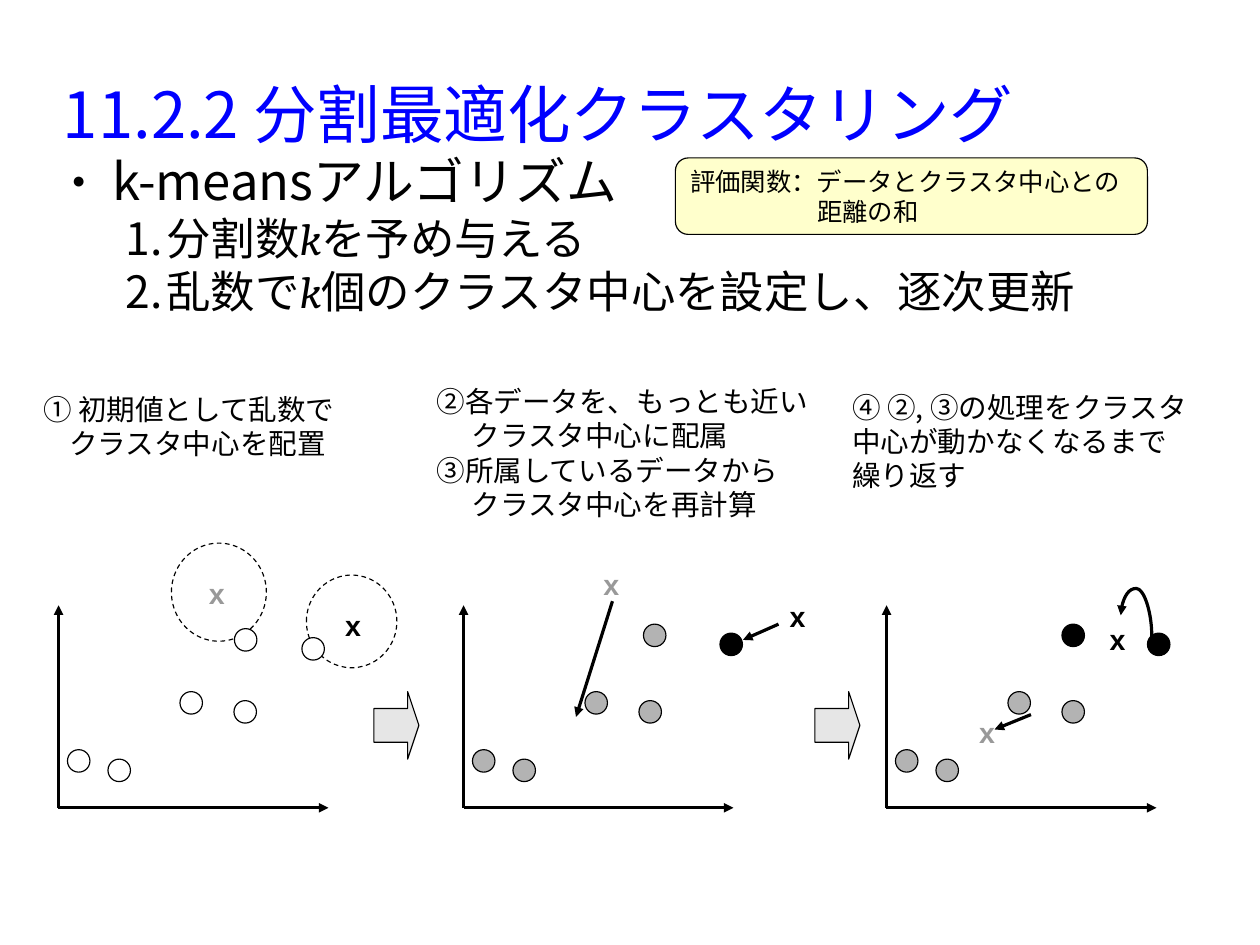
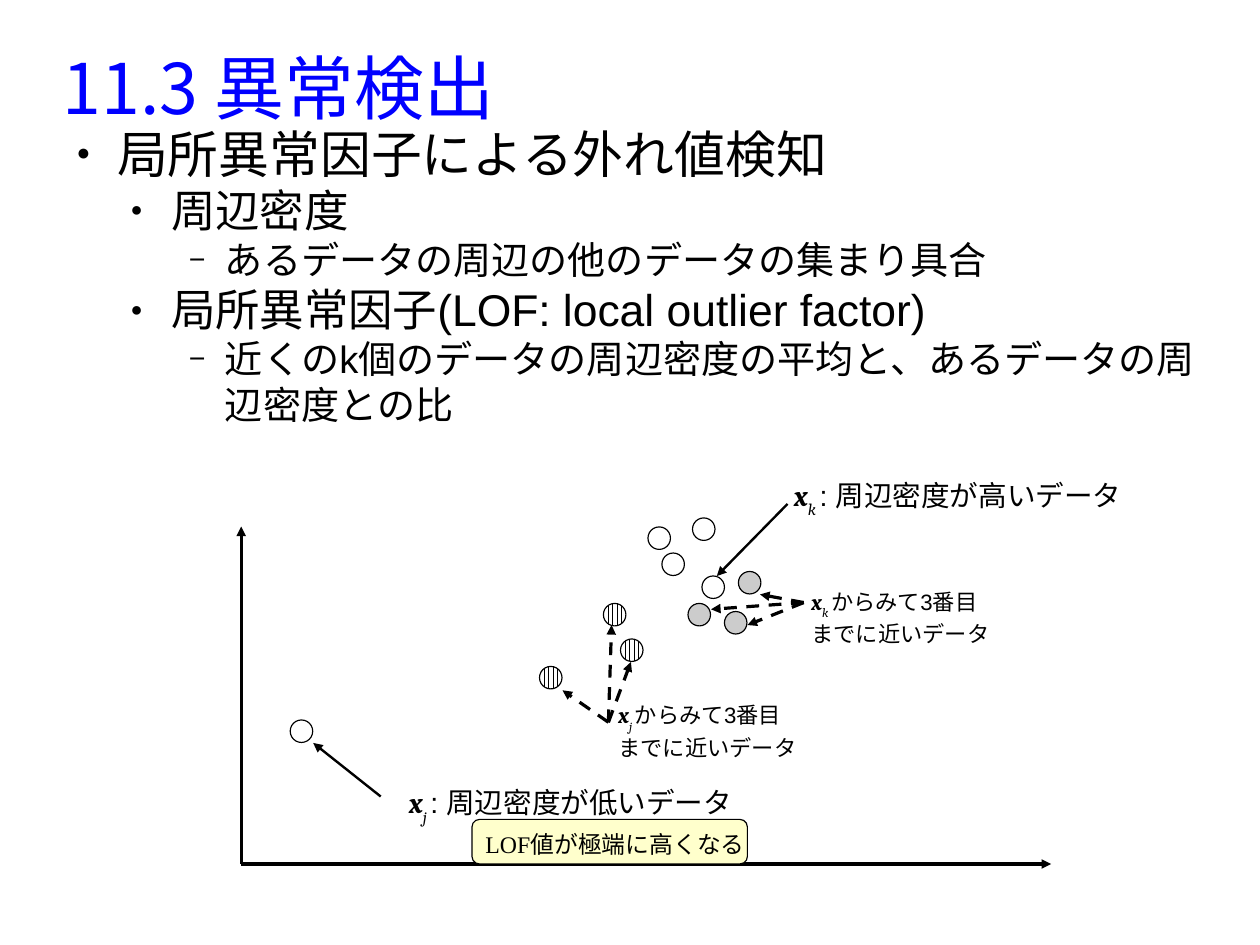
from lxml import etree
from pptx import Presentation
from pptx.dml.color import RGBColor
from pptx.enum import dml, shapes, text
from pptx.oxml import ns
from pptx.util import Cm, Pt

BLUE = RGBColor(0x00, 0x00, 0xFF)
BLACK = RGBColor(0x00, 0x00, 0x00)
WHITE = RGBColor(0xFF, 0xFF, 0xFF)
CREAM = RGBColor(0xFF, 0xFF, 0xCC)
PALE = RGBColor(0xE6, 0xE6, 0xE6)
LIGHT = RGBColor(0xCC, 0xCC, 0xCC)
GRAY = RGBColor(0xB3, 0xB3, 0xB3)
DIM = RGBColor(0x99, 0x99, 0x99)
STRIPES = None

GOTHIC = "Noto Sans CJK JP"
SANS = "Arial"
MATH = "Cambria"
SERIF = "Times New Roman"
DOT_SIZE = Cm(0.5)


def add_span(para, words, size, font=SANS, color=BLACK, bold=False, italic=False, baseline=0):
    span = para.add_run()
    span.text = words
    span.font.size = Pt(size)
    span.font.name = font
    span.font.color.rgb = color
    span.font.bold = bold
    span.font.italic = italic
    if baseline:
        span._r.get_or_add_rPr().set("baseline", str(baseline))


def add_arrow(page, start, end, width=0, dashed=False, kind=shapes.MSO_CONNECTOR.STRAIGHT):
    ends = [Cm(value) for value in (*start, *end)]
    arrow = page.shapes.add_connector(kind, *ends)
    arrow.line.color.rgb = BLACK
    arrow.line.width = Pt(width)
    if dashed:
        arrow.line.dash_style = dml.MSO_LINE.DASH
    etree.SubElement(arrow.line._get_or_add_ln(), ns.qn("a:tailEnd"), type="triangle")
    etree.SubElement(arrow._element.spPr, ns.qn("a:effectLst"))
    return arrow


deck = Presentation()
deck.slide_width = Cm(28)
deck.slide_height = Cm(21)
means_page, outlier_page = [deck.slides.add_slide(deck.slide_layouts[1]) for _ in range(2)]

titles = [
    (means_page, "11.2.2 分割最適化クラスタリング", 40, (1.4, 0.48, 25.2, 4.24), Pt(42.5)),
    (outlier_page, "11.3 異常検出", 44, (1.4, 0.76, 25.2, 2.34), None),
]
bodies = [
    (means_page, (1.3, 3.33, 24.4, 12.19), [
        (0, "●", [("k-meansアルゴリズム", GOTHIC)]),
        (1, "1.", [("分割数", GOTHIC), ("k", MATH), ("を予め与える", GOTHIC)]),
        (1, "1.", [("乱数で", GOTHIC), ("k", MATH),
                   ("個のクラスタ中心を設定し、逐次更新", GOTHIC)]),
    ]),
    (outlier_page, (1.4, 2.72, 25.2, 12.19), [
        (0, "●", [("局所異常因子による外れ値検知", GOTHIC)]),
        (1, "●", [("周辺密度", SANS)]),
        (2, "−", [("あるデータの周辺の他のデータの集まり具合", SANS)]),
        (1, "●", [("局所異常因子(LOF: local outlier factor)", SANS)]),
        (2, "−", [("近くのk個のデータの周辺密度の平均と、あるデータの周辺密度との比", SANS)]),
    ]),
]
levels = [(32, 1.2, -0.9), (28, 2.4, -0.9), (24, 3.6, -0.8)]
bullet_sizes = {"●": "45000", "−": "75000"}

for page, words, size, place, spacing in titles:
    box = page.shapes.title
    box.left, box.top, box.width, box.height = [Cm(value) for value in place]
    frame = box.text_frame
    frame.auto_size = text.MSO_AUTO_SIZE.NONE
    frame.vertical_anchor = text.MSO_ANCHOR.MIDDLE
    frame.margin_left = frame.margin_top = frame.margin_right = frame.margin_bottom = 0
    para = frame.paragraphs[0]
    para.alignment = text.PP_ALIGN.LEFT
    para.line_spacing = spacing
    add_span(para, words, size, GOTHIC, BLUE)

for page, place, items in bodies:
    box = page.placeholders[1]
    box.left, box.top, box.width, box.height = [Cm(value) for value in place]
    frame = box.text_frame
    frame.auto_size = text.MSO_AUTO_SIZE.NONE
    frame.margin_left = frame.margin_top = frame.margin_right = frame.margin_bottom = 0
    for number, (level, bullet, spans) in enumerate(items):
        para = frame.add_paragraph() if number else frame.paragraphs[0]
        size, margin, indent = levels[level]
        para.level = level
        para.space_before = Pt(0)
        props = para._p.get_or_add_pPr()
        props.set("marL", str(Cm(margin)))
        props.set("indent", str(Cm(indent)))
        tint = etree.SubElement(props, ns.qn("a:buClr"))
        etree.SubElement(tint, ns.qn("a:srgbClr"), val=str(BLACK))
        if bullet in bullet_sizes:
            etree.SubElement(props, ns.qn("a:buSzPct"), val=bullet_sizes[bullet])
            etree.SubElement(props, ns.qn("a:buChar"), char=bullet)
        else:
            etree.SubElement(props, ns.qn("a:buAutoNum"), type="arabicPeriod")
        for words, font in spans:
            add_span(para, words, size, font, italic=font == MATH)

axes = [(means_page, left, 17.95, 6, 4.5) for left in (1.3, 10.3, 19.7)]
axes.append((outlier_page, 5.36, 19.2, 18, 7.5))
for page, left, bottom, width, height in axes:
    add_arrow(page, (left, bottom), (left + width, bottom))
    add_arrow(page, (left, bottom), (left, bottom - height))

figures = [
    (means_page, shapes.MSO_SHAPE.OVAL, (3.81, 12.07, 2.11, 2.18)),
    (means_page, shapes.MSO_SHAPE.OVAL, (6.81, 12.78, 2.01, 2.06)),
    (means_page, shapes.MSO_SHAPE.RIGHT_ARROW, (8.31, 15.37, 1, 1.5)),
    (means_page, shapes.MSO_SHAPE.RIGHT_ARROW, (18.11, 15.37, 1, 1.5)),
]
for page, kind, place in figures:
    figure = page.shapes.add_shape(kind, *[Cm(value) for value in place])
    figure.shadow.inherit = False
    figure.line.color.rgb = BLACK
    figure.line.width = Pt(0)
    if kind == shapes.MSO_SHAPE.OVAL:
        figure.fill.background()
        figure.line.dash_style = dml.MSO_LINE.DASH
    else:
        figure.fill.solid()
        figure.fill.fore_color.rgb = PALE
        figure.adjustments[0] = 0.5
        figure.adjustments[1] = 0.25

cluster = [(1.1, 16.87), (0.2, 16.66), (2.7, 15.37), (3.9, 15.57)]
dots = [
    (means_page, axis[1] + x, y, color)
    for axis, color in zip(axes, (WHITE, GRAY, GRAY))
    for x, y in cluster
]
dots += [
    (means_page, 6.71, 14.17, WHITE), (means_page, 5.21, 13.97, WHITE),
    (means_page, 14.3, 13.87, GRAY), (means_page, 16, 14.07, BLACK),
    (means_page, 23.6, 13.87, BLACK), (means_page, 25.5, 14.07, BLACK),
]
neighbours = {
    WHITE: [(6.45, 16), (14.71, 12.29), (15.6, 12.8), (14.4, 11.71), (15.39, 11.51)],
    LIGHT: [(16.41, 12.7), (15.29, 13.41), (16.1, 13.59)],
    STRIPES: [(11.99, 14.81), (13.79, 14.2), (13.41, 13.41)],
}
dots += [(outlier_page, x, y, color) for color, spots in neighbours.items() for x, y in spots]
for page, x, y, color in dots:
    dot = page.shapes.add_shape(shapes.MSO_SHAPE.OVAL, Cm(x), Cm(y), DOT_SIZE, DOT_SIZE)
    dot.shadow.inherit = False
    dot.line.color.rgb = BLACK
    dot.line.width = Pt(0)
    if color is STRIPES:
        dot.fill.patterned()
        dot.fill.fore_color.rgb = BLACK
        dot.fill.back_color.rgb = WHITE
        dot._element.spPr.find(ns.qn("a:pattFill")).set("prst", "vert")
    else:
        dot.fill.solid()
        dot.fill.fore_color.rgb = color

for start, end in [
    ((17.3, 13.87), (16.51, 14.22)),
    ((13.61, 13.36), (12.8, 15.93)),
    ((22.91, 15.88), (22.1, 16.21)),
]:
    add_arrow(means_page, start, end)
for start, end in [((8.46, 17.7), (6.96, 16.51)), ((17.5, 11.2), (15.93, 12.8))]:
    add_arrow(outlier_page, start, end, width=1.5)
for start, targets in [
    ((13.52, 16.05), [(12.5, 15.34), (13.59, 13.89), (14.02, 14.71)]),
    ((17.86, 13.39), [(16.89, 13.21), (15.8, 13.54), (16.61, 13.89)]),
]:
    for end in targets:
        add_arrow(outlier_page, start, end, dashed=True)

loop = add_arrow(means_page, (25.02, 14.25), (25.48, 13.56), kind=shapes.MSO_CONNECTOR.CURVE)
loop._element.spPr.find(ns.qn("a:xfrm")).set("rot", "16200000")
geometry = loop._element.spPr.find(ns.qn("a:prstGeom"))
guides = geometry.find(ns.qn("a:avLst"))
if guides is None:
    guides = etree.SubElement(geometry, ns.qn("a:avLst"))
etree.SubElement(guides, ns.qn("a:gd"), name="adj1", fmla="val 229800")

labels = [
    (means_page, (0.71, 8.59, 8.15, 2.16), 18, [
        (0, [("① 初期値として乱数で", {})]),
        (0.58, [("クラスタ中心を配置", {})]),
    ]),
    (means_page, (9.45, 8.41, 8.94, 4.06), 18, [
        (0, [("②各データを、もっとも近い", {})]),
        (0.78, [("クラスタ中心に配属", {})]),
        (0, [("③所属しているデータから", {})]),
        (0.78, [("クラスタ中心を再計算", {})]),
    ]),
    (means_page, (18.69, 8.53, 8.8, 3.1), 18, [
        (0, [("④ ②, ③", {"font": GOTHIC}), ("の処理をクラスタ", {})]),
        (0, [("中心が動かなくなるまで", {})]),
        (0, [("繰り返す", {})]),
    ]),
]
for x, y, color in [
    (4.39, 12.67, DIM), (17.3, 13.18, BLACK), (7.42, 13.39, BLACK),
    (13.16, 12.47, DIM), (21.51, 15.77, DIM), (24.41, 13.69, BLACK),
]:
    labels.append((means_page, (x, y, 1, 1), 18, [(0, [("x", {"color": color, "bold": True})])]))
for x, y, size, index, lines in [
    (8.84, 17.32, 18, "j ", [": 周辺密度が低いデータ"]),
    (17.4, 10.49, 18, "k ", [": 周辺密度が高いデータ"]),
    (13.49, 15.47, 14, "j ", ["からみて3番目", "までに近いデータ"]),
    (17.78, 12.95, 14, "k ", ["からみて3番目", "までに近いデータ"]),
]:
    rows = [(0, [(line, {})]) for line in lines]
    rows[0][1][:0] = [
        ("x", {"font": MATH, "bold": True, "italic": True}),
        (index, {"font": MATH, "italic": True, "baseline": -33000}),
    ]
    labels.append((outlier_page, (x, y, 9, 1.3 if len(lines) == 1 else 1.78), size, rows))

callouts = [
    (means_page, (15.01, 3.51, 10.49, 1.7), 16, [
        (0, [("評価関数：データとクラスタ中心との", {})]),
        (2.82, [("距離の和", {})]),
    ]),
    (outlier_page, (10.49, 18.21, 6.12, 0.99), 15, [
        (0, [("LOF値が極端に高くなる", {"font": SERIF})]),
    ]),
]
for page, place, size, rows in labels + callouts:
    area = [Cm(value) for value in place]
    if (page, place, size, rows) in callouts:
        box = page.shapes.add_shape(shapes.MSO_SHAPE.ROUNDED_RECTANGLE, *area)
        box.shadow.inherit = False
        box.fill.solid()
        box.fill.fore_color.rgb = CREAM
        box.line.color.rgb = BLACK
        box.line.width = Pt(0)
        box.text_frame.vertical_anchor = text.MSO_ANCHOR.MIDDLE
    else:
        box = page.shapes.add_textbox(*area)
    frame = box.text_frame
    frame.word_wrap = size != 15
    for number, (indent, spans) in enumerate(rows):
        para = frame.add_paragraph() if number else frame.paragraphs[0]
        para.alignment = text.PP_ALIGN.LEFT
        if indent:
            para._p.get_or_add_pPr().set("marL", str(Cm(indent)))
        if size == 15:
            para.line_spacing = 1.15
        for words, style in spans:
            add_span(para, words, size, **style)

deck.save("out.pptx")
